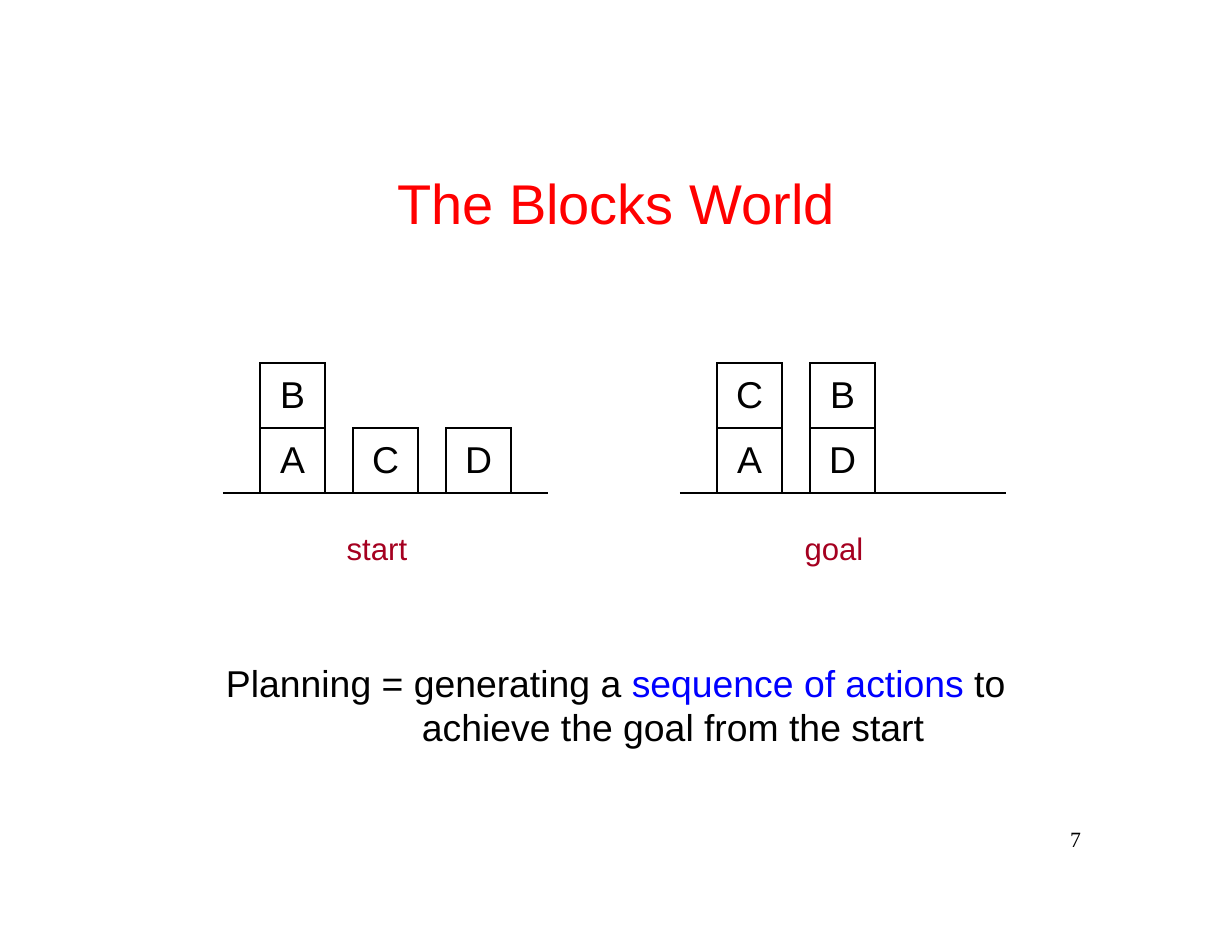
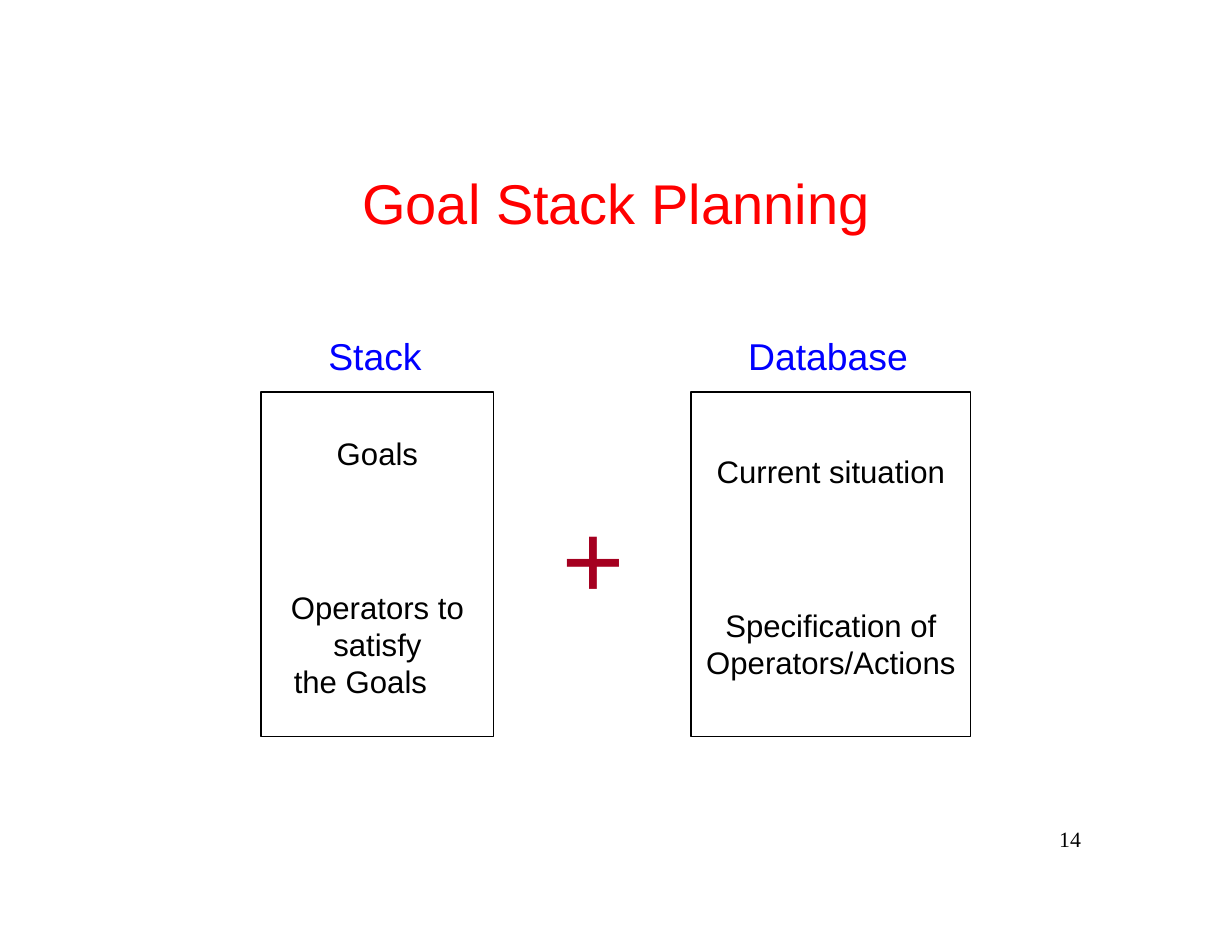
from lxml import etree
from pptx import Presentation
from pptx.dml.color import RGBColor
from pptx.enum.shapes import MSO_SHAPE
from pptx.enum.text import MSO_ANCHOR, MSO_AUTO_SIZE, PP_ALIGN
from pptx.oxml.ns import qn
from pptx.util import Pt

LEFT, MID, RIGHT = PP_ALIGN.LEFT, PP_ALIGN.CENTER, PP_ALIGN.RIGHT
TOP, CENTER = MSO_ANCHOR.TOP, MSO_ANCHOR.MIDDLE
FIXED = MSO_AUTO_SIZE.NONE
RECT = MSO_SHAPE.RECTANGLE
COLORS = {"ink": "000000", "title": "FF0000", "key": "0000FF", "mark": "A50020"}
SANS, SERIF = "Arial", "Times New Roman"
PLAIN = "{2D5ABB26-0587-4C30-8999-92F81FD0307C}"
WIDE, HIGH = 1232, 952
ROW = 65


def px(num):
    return int(num * 914400 / 112)


def tint(name):
    return RGBColor.from_string(COLORS[name])


class Deck:
    def __init__(self):
        self.prs = Presentation()
        self.prs.slide_width, self.prs.slide_height = px(WIDE), px(HIGH)
        self.slide = None

    def page(self, title, wide, num):
        self.slide = self.prs.slides.add_slide(self.prs.slide_layouts[5])
        head = self.slide.shapes.title
        head.left, head.top = px((WIDE - wide) / 2), px(164)
        head.width, head.height = px(wide), px(71)
        self.frame(head.text_frame, 5)
        head.text_frame.text = title
        self.style(head.text_frame.paragraphs[0], 36, "title", MID)
        self.text(1056, 822, 25, 25, str(num), 14, align=RIGHT, font=SERIF)

    def frame(self, frame, pad, wrap=False):
        frame.margin_left = frame.margin_right = frame.margin_bottom = 0
        frame.margin_top = px(pad)
        frame.word_wrap = wrap
        frame.auto_size = FIXED
        frame.vertical_anchor = TOP

    def style(self, para, size, color="ink", align=LEFT, font=SANS, bold=False):
        para.alignment = align
        para.font.name, para.font.size = font, Pt(size)
        para.font.bold = bold
        para.font.color.rgb = tint(color)

    def text(self, x, y, w, h, words, size, color="ink", align=MID, font=SANS, bold=False):
        box = self.slide.shapes.add_textbox(px(x), px(y), px(w), px(h))
        self.frame(box.text_frame, 4)
        box.text_frame.text = words
        self.style(box.text_frame.paragraphs[0], size, color, align, font, bold)

    def phrase(self, x, y, w, h, runs, hang):
        box = self.slide.shapes.add_textbox(px(x), px(y), px(w), px(h))
        self.frame(box.text_frame, 5, True)
        para = box.text_frame.paragraphs[0]
        props = para._p.get_or_add_pPr()
        props.set("marL", str(px(hang)))
        props.set("indent", str(px(2 - hang)))
        para.line_spacing = Pt(28.7)
        para.alignment = LEFT
        for words, color in runs:
            run = para.add_run()
            run.text = words
            run.font.name, run.font.size = SANS, Pt(24)
            run.font.color.rgb = tint(color)

    def panel(self, x, y, w, h, pad, paras):
        box = self.slide.shapes.add_shape(RECT, px(x), px(y), px(w), px(h))
        box.shadow.inherit = False
        box.fill.background()
        box.line.color.rgb = tint("ink")
        box.line.width = Pt(0.75)
        frame = box.text_frame
        self.frame(frame, pad, True)
        for i, (words, gap, inset) in enumerate(paras):
            para = frame.add_paragraph() if i else frame.paragraphs[0]
            para.text = words
            if inset:
                para._p.get_or_add_pPr().set("marR", str(px(inset)))
            para.line_spacing = Pt(24)
            if gap:
                para.space_before = Pt(gap)
            self.style(para, 20, align=MID)

    def edge(self, cell, side, width):
        props = cell._tc.get_or_add_tcPr()
        line = etree.SubElement(props, qn("a:ln" + side), w=str(Pt(width)))
        fill = etree.SubElement(line, qn("a:solidFill"))
        etree.SubElement(fill, qn("a:srgbClr"), val=COLORS["ink"])

    def blocks(self, x, y, cols, items, spans):
        shape = self.slide.shapes.add_table(
            2, len(cols), px(x), px(y), px(sum(cols)), px(2 * ROW))
        table = shape.table
        table.first_row = table.horz_banding = False
        table._tbl.tblPr.find(qn("a:tableStyleId")).text = PLAIN
        for col, wide in zip(table.columns, cols):
            col.width = px(wide)
        for row in table.rows:
            row.height = px(ROW)
        for r1, c1, r2, c2 in spans:
            table.cell(r1, c1).merge(table.cell(r2, c2))
        for r in range(2):
            for c in range(len(cols)):
                cell = table.cell(r, c)
                near = {"L": (r, c - 1), "R": (r, c + 1), "T": (r - 1, c), "B": (r + 1, c)}
                floor = r == 1 or cell.span_height == 2
                for side, spot in near.items():
                    if side == "B" and floor:
                        self.edge(cell, side, 1.5)
                    elif (r, c) in items or spot in items:
                        self.edge(cell, side, 1)
                cell.fill.background()
                cell.margin_left = cell.margin_right = 0
                cell.margin_top = cell.margin_bottom = 0
                cell.vertical_anchor = CENTER
                if (r, c) in items:
                    cell.text = items[r, c]
                    self.style(cell.text_frame.paragraphs[0], 24, align=MID)


def world(deck):
    deck.page("The Blocks World", 442, 7)
    start = {(0, 1): "B", (1, 1): "A", (1, 3): "C", (1, 5): "D"}
    goal = {(0, 1): "C", (1, 1): "A", (0, 3): "B", (1, 3): "D"}
    deck.blocks(223, 363, [37, 65, 28, 65, 28, 65, 37], start,
                [(0, 0, 1, 0), (0, 2, 0, 6)])
    deck.blocks(680, 363, [37, 65, 28, 65, 131], goal,
                [(0, c, 1, c) for c in (0, 2, 4)])
    for x, words in ((345, "start"), (802, "goal")):
        deck.text(x, 525, 64, 40, words, 20, "mark")
    deck.phrase(224, 655, 783, 93, [
        ("Planning = generating a ", "ink"),
        ("sequence of actions ", "key"),
        ("to achieve the goal from the start", "ink")], 198)


def stack(deck):
    deck.page("Goal Stack Planning", 511, 14)
    deck.panel(261, 392, 233, 345, 42, [
        ("Goals", 0, 0), ("Operators to satisfy", 75, 0), ("the Goals", 0, 34)])
    deck.panel(691, 392, 280, 345, 60, [
        ("Current situation", 0, 0), ("Specification of Operators/Actions", 75, 0)])
    for x, wide, words in ((327, 96, "Stack"), (747, 162, "Database")):
        deck.text(x, 329, wide, 48, words, 24, "key")
    deck.text(560, 485, 67, 138, "+", 72, "mark", font=SERIF, bold=True)


def main():
    deck = Deck()
    world(deck)
    stack(deck)
    deck.prs.save("out.pptx")


if __name__ == "__main__":
    main()
